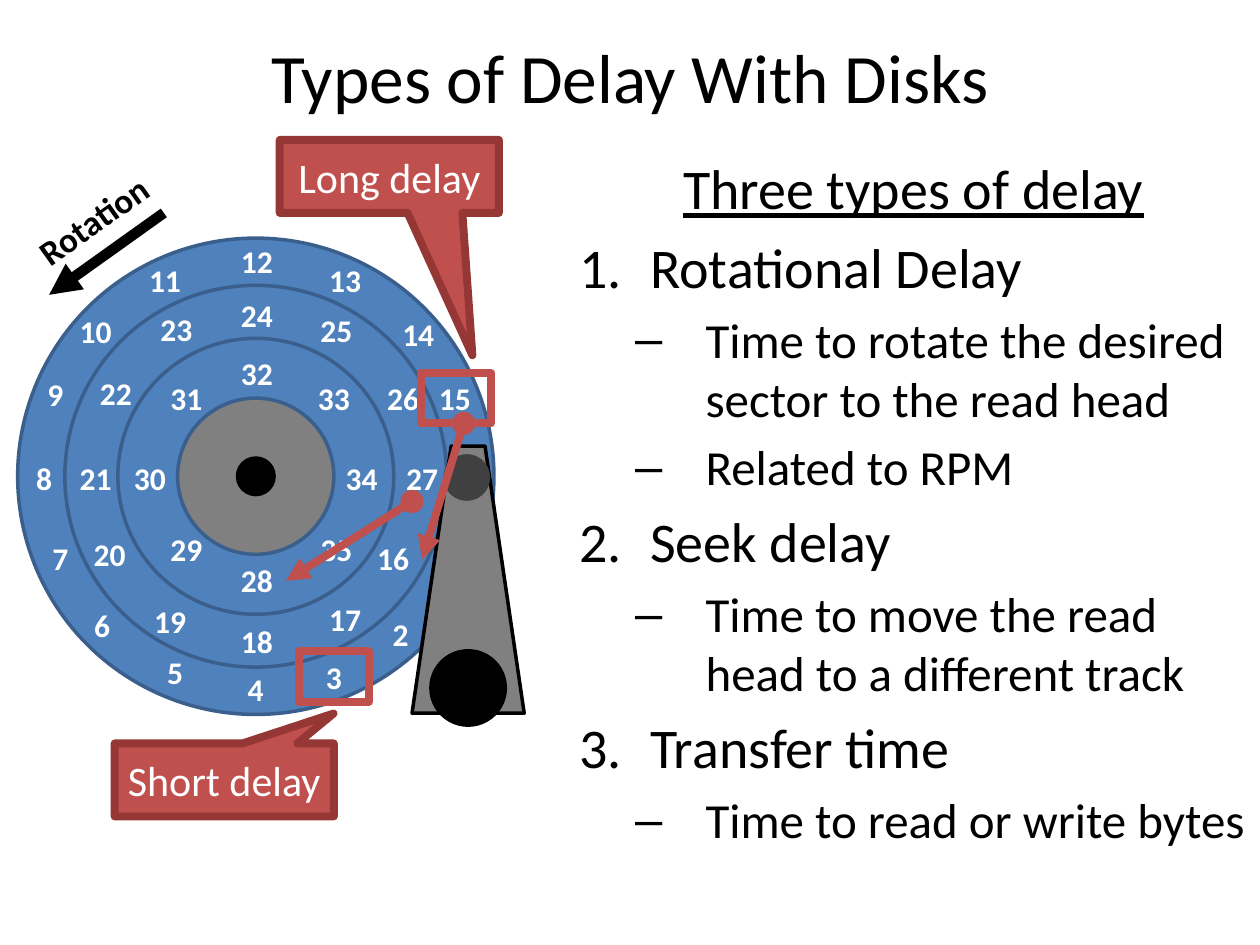
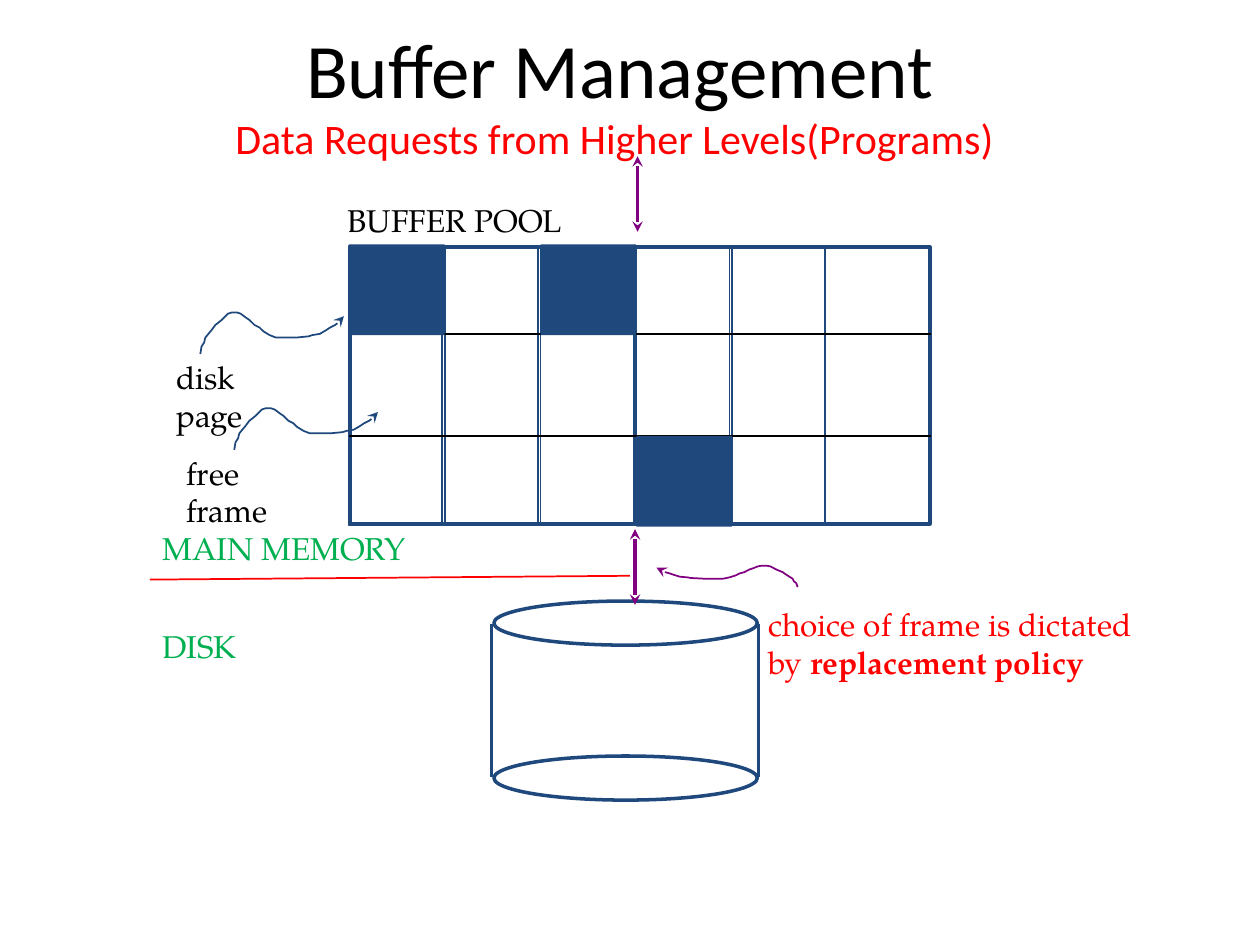
from lxml.etree import SubElement
from pptx import Presentation
from pptx.dml.color import RGBColor
from pptx.enum.shapes import MSO_CONNECTOR, MSO_SHAPE
from pptx.enum.text import MSO_ANCHOR, MSO_AUTO_SIZE, PP_ALIGN
from pptx.oxml.ns import qn
from pptx.util import Inches, Pt

BLACK, WHITE, GRAY, DARK_GRAY = "000000", "FFFFFF", "808080", "404040"
DISK_BLUE, DISK_EDGE = "4F81BD", "3A5F8C"
ACCENT, ACCENT_EDGE = "C0504D", "953735"
NAVY, PURPLE, RED, GREEN = "1F497D", "800080", "FF0000", "00B050"
SANS, SERIF = "Calibri", "TeX Gyre Pagella"

FIRST_SECTOR = 2
SECTOR_OFFSETS = [
    (1.15, 1.25), (0.62, 1.59), (0, 1.69), (-0.64, 1.55), (-1.22, 1.18),
    (-1.55, 0.65), (-1.68, 0.01), (-1.59, -0.65), (-1.27, -1.15),
    (-0.72, -1.56), (0.01, -1.71), (0.71, -1.56), (1.29, -1.13), (1.58, -0.62),
    (1.09, 0.65), (0.71, 1.13), (0.01, 1.31), (-0.68, 1.15), (-1.16, 0.62),
    (-1.27, 0.01), (-1.11, -0.66), (-0.63, -1.17), (0.01, -1.28),
    (0.64, -1.16), (1.17, -0.62), (1.32, 0.01),
    (0.01, 0.82), (-0.55, 0.58), (-0.84, 0.01), (-0.55, -0.62),
    (0.01, -0.82), (0.62, -0.62), (0.84, 0.01), (0.64, 0.58),
]
DELAYS = [
    ("Rotational Delay", ["Time to rotate the desired sector to the read head", "Related to RPM"]),
    ("Seek delay", ["Time to move the read head to a different track"]),
    ("Transfer time", ["Time to read or write bytes"]),
]
WAVE_SIZE = (114, 33)
WAVE_POINTS = [
    (0, 33), (1, 27), (3, 24), (4, 20), (9, 14), (12, 10), (17, 6), (22, 1),
    (25, 0), (29, 0), (32, 1), (36, 4), (39, 6), (43, 10), (47, 12), (50, 15),
    (55, 18), (60, 20), (76, 20), (86, 19), (89, 18), (95, 17), (100, 14),
    (103, 12), (107, 10), (111, 7), (114, 3),
]


def rgb(color):
    """Turn a hex string into a colour."""
    return RGBColor.from_string(color)


def add_run(p, text, size=18, font=SANS, color=BLACK, bold=False, underline=False):
    """Add a formatted run to a paragraph."""
    r = p.add_run()
    r.text = text
    r.font.size, r.font.name = Pt(size), font
    r.font.bold, r.font.underline = bold, underline
    r.font.color.rgb = rgb(color)
    return r


def add_label(s, box, text, align=PP_ALIGN.LEFT, wrap=True, **fmt):
    """Add a text box holding one paragraph."""
    sp = s.shapes.add_textbox(*map(Inches, box))
    tf = sp.text_frame
    tf.word_wrap = wrap
    tf.paragraphs[0].alignment = align
    add_run(tf.paragraphs[0], text, **fmt)
    return sp


def paint(sp, fill=None, line=None, width=2):
    """Set fill and outline of a shape and drop its shadow."""
    sp.shadow.inherit = False
    if fill:
        sp.fill.solid()
        sp.fill.fore_color.rgb = rgb(fill)
    else:
        sp.fill.background()
    if line:
        sp.line.color.rgb = rgb(line)
        sp.line.width = Pt(width)
    else:
        sp.line.fill.background()


def add_shape(s, kind, box, adj=(), **look):
    """Add a painted preset shape."""
    sp = s.shapes.add_shape(kind, *map(Inches, box))
    for i, value in enumerate(adj):
        sp.adjustments[i] = value
    paint(sp, **look)
    return sp


def add_circle(s, cx, cy, size, **look):
    """Add a circle around a centre."""
    return add_shape(s, MSO_SHAPE.OVAL, (cx - size / 2, cy - size / 2, size, size), **look)


def set_ends(sp, head=None, tail=None):
    """Put arrowheads on an outline."""
    ln = sp.element.spPr.find(qn("a:ln"))
    for tag, kind in (("a:headEnd", head), ("a:tailEnd", tail)):
        if kind:
            SubElement(ln, qn(tag)).set("type", kind)


def add_line(s, start, end, color, width, **ends):
    """Add a straight line or arrow."""
    sp = s.shapes.add_connector(MSO_CONNECTOR.STRAIGHT, *map(Inches, (*start, *end)))
    sp.line.color.rgb = rgb(color)
    sp.line.width = Pt(width)
    set_ends(sp, **ends)
    SubElement(sp.element.spPr, qn("a:effectLst"))


def add_wave(s, box, color, mirror=False):
    """Add a wavy pointer that fills the box."""
    x, y, w, h = box
    cols, rows = WAVE_SIZE
    points = [(Inches(x + w * ((cols - px) if mirror else px) / cols), Inches(y + h * py / rows))
              for px, py in WAVE_POINTS]
    fb = s.shapes.build_freeform(*points[0])
    fb.add_line_segments(points[1:], close=False)
    sp = fb.convert_to_shape()
    paint(sp, line=color, width=1)
    set_ends(sp, tail="stealth")


def place(sp, box):
    """Move a placeholder to the box."""
    sp.left, sp.top, sp.width, sp.height = map(Inches, box)


def add_slide(prs, layout, title, box, size):
    """Add a slide with a centred title."""
    s = prs.slides.add_slide(prs.slide_layouts[layout])
    place(s.shapes.title, box)
    tf = s.shapes.title.text_frame
    tf.auto_size = MSO_AUTO_SIZE.NONE
    tf.vertical_anchor = MSO_ANCHOR.MIDDLE
    tf.paragraphs[0].alignment = PP_ALIGN.CENTER
    add_run(tf.paragraphs[0], title, size=size)
    return s


def set_bullet(p, margin, indent, tag, **attrs):
    """Set indents and the bullet of a paragraph."""
    pPr = p._p.get_or_add_pPr()
    pPr.set("marL", str(Inches(margin)))
    pPr.set("indent", str(Inches(indent)))
    bullet = SubElement(pPr, qn(tag))
    for key, value in attrs.items():
        bullet.set(key, value)


def fill_delay_list(sp, box):
    """Write the numbered list of delays."""
    place(sp, box)
    tf = sp.text_frame
    tf.auto_size = MSO_AUTO_SIZE.NONE
    p = tf.paragraphs[0]
    p.alignment = PP_ALIGN.CENTER
    set_bullet(p, 0, 0, "a:buNone")
    add_run(p, "Three types of delay", size=32, underline=True)
    for delay, details in DELAYS:
        p = tf.add_paragraph()
        set_bullet(p, 0.56, -0.56, "a:buAutoNum", type="arabicPeriod")
        add_run(p, delay, size=32)
        for detail in details:
            p = tf.add_paragraph()
            p.level = 1
            set_bullet(p, 1, -0.56, "a:buChar", char="–")
            add_run(p, detail, size=28)


def draw_platter(s, cx, cy):
    """Draw the tracks, the spindle and the sector numbers."""
    for size in (3.78, 3.03, 2.19):
        add_circle(s, cx, cy, size, fill=DISK_BLUE, line=DISK_EDGE)
    add_circle(s, cx, cy, 1.24, fill=GRAY, line=DISK_EDGE)
    add_circle(s, cx, cy, 0.29, fill=BLACK, line=BLACK)
    for number, (dx, dy) in enumerate(SECTOR_OFFSETS, FIRST_SECTOR):
        add_label(s, (cx + dx - 0.23, cy + dy - 0.2, 0.46, 0.4), str(number),
                  align=PP_ALIGN.CENTER, wrap=False, color=WHITE, bold=True)


def draw_read_arm(s, x, y):
    """Draw the arm with its pivot and read head."""
    add_shape(s, MSO_SHAPE.TRAPEZOID, (x, y, 0.89, 2.12), adj=[0.349], fill=GRAY, line=BLACK)
    add_circle(s, x + 0.445, y + 1.92, 0.59, fill=BLACK, line=BLACK)
    add_circle(s, x + 0.435, y + 0.25, 0.37, fill=DARK_GRAY)


def draw_delay(s, sector, callout, text, adj):
    """Frame a sector and explain it in a callout."""
    add_shape(s, MSO_SHAPE.RECTANGLE, (*sector, 0.56, 0.4), line=ACCENT, width=4.5)
    sp = add_shape(s, MSO_SHAPE.RECTANGULAR_CALLOUT, (*callout, 1.74, 0.58), adj=adj,
                   fill=ACCENT, line=ACCENT_EDGE, width=4.5)
    tf = sp.text_frame
    tf.vertical_anchor = MSO_ANCHOR.MIDDLE
    tf.paragraphs[0].alignment = PP_ALIGN.CENTER
    add_run(tf.paragraphs[0], text, size=24, color=WHITE)


def build_delay_slide(prs):
    """Build the slide on disk delays."""
    s = add_slide(prs, 1, "Types of Delay With Disks", (0.5, 0.3, 9, 0.6), 39.6)
    fill_delay_list(s.placeholders[1], (4.5, 1.17, 5.5, 6.33))
    draw_platter(s, 2.03, 3.78)
    add_line(s, (1.3, 1.69), (0.39, 2.34), BLACK, 6, tail="triangle")
    sp = add_label(s, (0.14, 1.53, 1.2, 0.44), "Rotation", align=PP_ALIGN.CENTER,
                   wrap=False, size=20, bold=True)
    sp.rotation = 324.4
    draw_read_arm(s, 3.27, 3.54)
    draw_delay(s, (2.37, 5.17), (0.91, 5.9), "Short delay", (0.499, -0.91))
    draw_delay(s, (3.34, 2.96), (2.22, 1.11), "Long delay", (0.379, 2.449))
    for start, end in (((3.68, 3.36), (3.35, 4.44)), ((3.27, 3.98), (2.27, 4.61))):
        add_line(s, start, end, ACCENT, 4.5, head="oval", tail="triangle")


def draw_buffer_pool(s, x, y):
    """Draw the grid of frames and fill those in use."""
    pitch, row_tops = 0.76, (0, 0.71, 1.52)
    add_shape(s, MSO_SHAPE.RECTANGLE, (x + 0.01, y + 0.02, 4.6, 2.2), line=NAVY)
    for col in range(5):
        add_shape(s, MSO_SHAPE.RECTANGLE, (x + col * pitch, y + 0.01, 0.74, 2.22),
                  line=NAVY, width=1)
    for top in row_tops[1:]:
        add_line(s, (x, y + top), (x + 4.62, y + top), BLACK, 1)
    for row, col in ((0, 0), (0, 2), (2, 3)):
        add_shape(s, MSO_SHAPE.RECTANGLE, (x + col * pitch, y + row_tops[row], pitch, 0.72),
                  fill=NAVY)


def draw_disk_drum(s, x, y):
    """Draw the disk as an open cylinder."""
    for top in (0, 1.23):
        add_shape(s, MSO_SHAPE.OVAL, (x + 0.02, y + top, 2.09, 0.35), line=NAVY)
    for side in (x, x + 2.12):
        add_line(s, (side, y + 0.18), (side, y + 1.4), NAVY, 2)


def build_buffer_slide(prs):
    """Build the slide on buffer management."""
    s = add_slide(prs, 5, "Buffer Management", (0.67, 0, 8.5, 1.07), 44)
    draw_buffer_pool(s, 2.77, 1.94)
    draw_disk_drum(s, 3.9, 4.77)
    add_line(s, (1.19, 4.6), (5, 4.57), RED, 1)
    for box, text, color in (
        ((1.19, 4.15, 2.3, 0.4), "MAIN MEMORY", GREEN),
        ((1.19, 4.93, 1.44, 0.4), "DISK", GREEN),
        ((1.3, 2.79, 1.1, 0.71), "disk page", BLACK),
        ((1.38, 3.55, 1.1, 0.71), "free frame", BLACK),
        ((2.66, 1.55, 2.26, 0.4), "BUFFER POOL", BLACK),
    ):
        add_label(s, box, text, font=SERIF, color=color)
    add_wave(s, (1.59, 2.48, 1.14, 0.33), NAVY)
    add_wave(s, (1.86, 3.24, 1.14, 0.33), NAVY)
    add_wave(s, (5.21, 4.49, 1.12, 0.17), PURPLE, mirror=True)
    add_label(s, (1.77, 0.84, 7.4, 0.51), "Data Requests from Higher Levels(Programs)",
              size=24, color=RED)
    sp = add_label(s, (6, 4.75, 3.2, 0.71), "choice of frame is dictated", font=SERIF, color=RED)
    p = sp.text_frame.add_paragraph()
    add_run(p, "by ", font=SERIF, color=RED)
    add_run(p, "replacement policy", font=SERIF, color=RED, bold=True)
    for x, y in ((5.06, 1.24), (5.04, 4.2)):
        add_line(s, (x, y), (x, y + 0.6), PURPLE, 2, head="stealth", tail="stealth")


def main():
    """Build and save the slides."""
    prs = Presentation()
    prs.slide_width, prs.slide_height = Inches(10), Inches(7.5)
    build_delay_slide(prs)
    build_buffer_slide(prs)
    prs.save("out.pptx")


if __name__ == "__main__":
    main()
